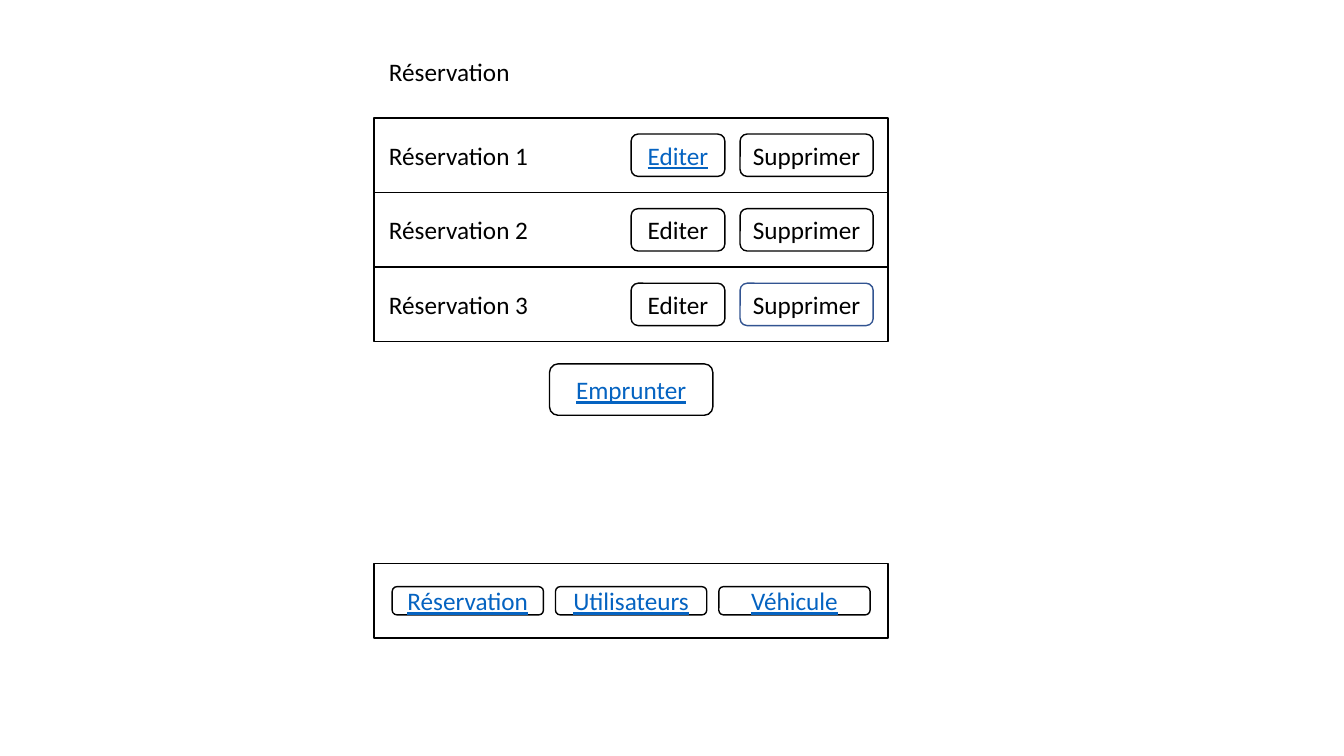
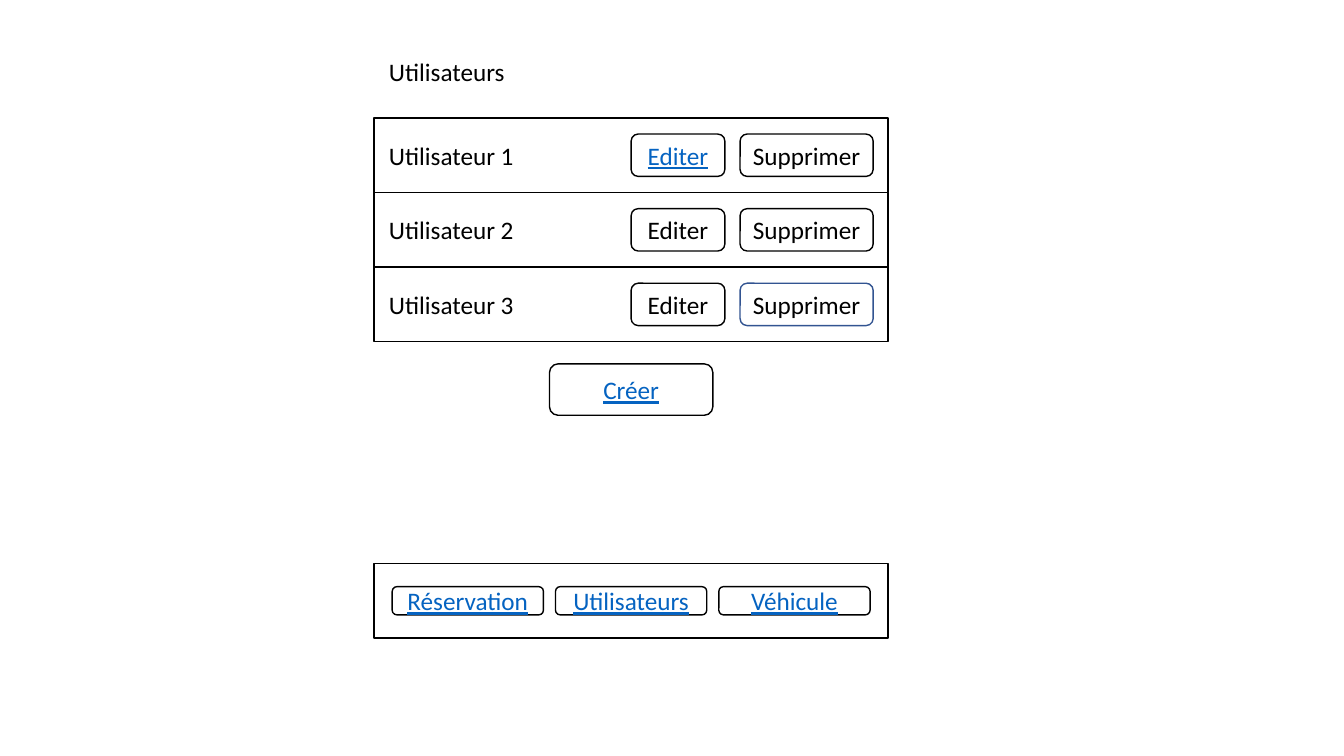
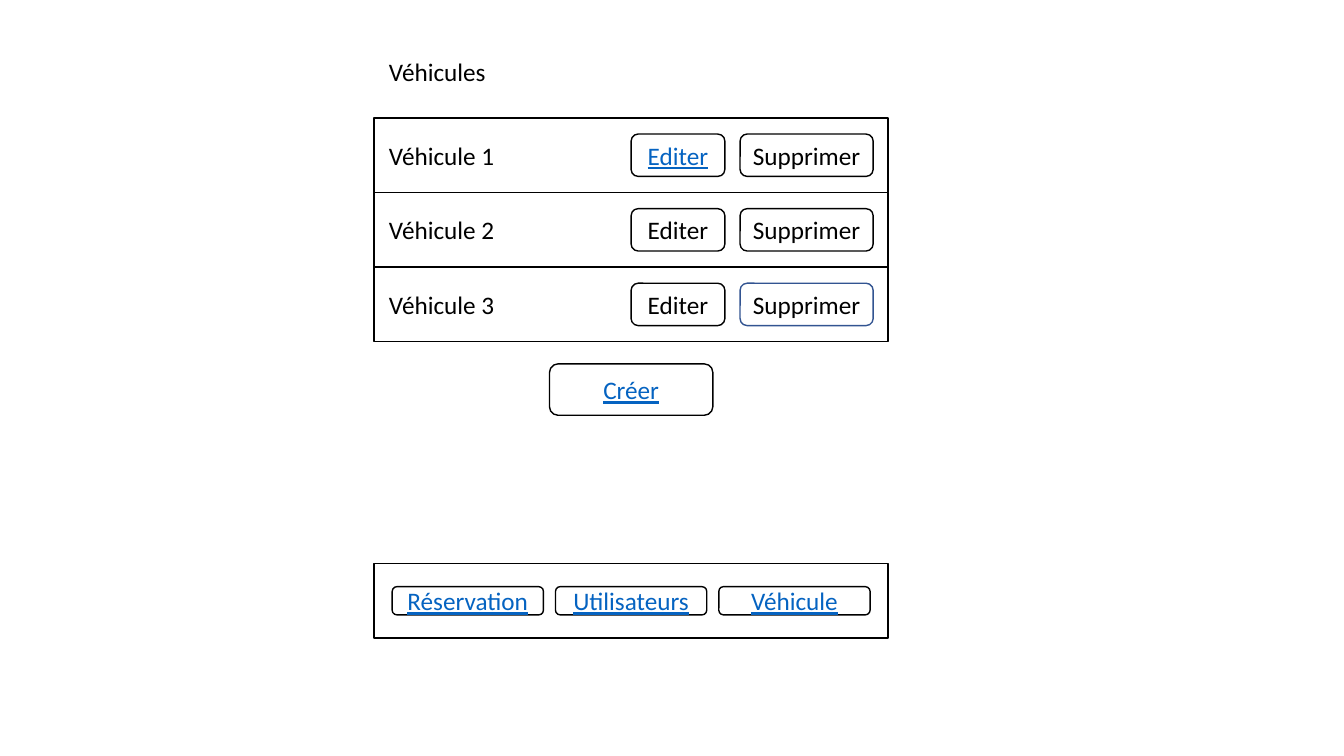
from dataclasses import dataclass

from pptx import Presentation
from pptx.dml.color import RGBColor
from pptx.enum.shapes import MSO_SHAPE
from pptx.enum.text import MSO_ANCHOR, MSO_AUTO_SIZE, PP_ALIGN
from pptx.slide import Slide
from pptx.text.text import TextFrame
from pptx.util import Inches, Pt

RECTANGLE = MSO_SHAPE.RECTANGLE
ROUNDED = MSO_SHAPE.ROUNDED_RECTANGLE
MIDDLE = MSO_ANCHOR.MIDDLE
FIT_SHAPE = MSO_AUTO_SIZE.SHAPE_TO_FIT_TEXT
LEFT = PP_ALIGN.LEFT
CENTER = PP_ALIGN.CENTER

INK = "000000"
LINK = "0563C1"
ACCENT = "325491"
FONT = "Calibri"
FONT_SIZE = Pt(18)
LINE_WIDTH = Pt(1)


@dataclass(frozen=True)
class Box:
    left: float
    top: float
    width: float
    height: float


@dataclass(frozen=True)
class Grid:
    left: float
    top: float
    column_step: float
    row_step: float

    def place(self, column: int, row: int, width: float, height: float) -> Box:
        return Box(self.left + column * self.column_step,
                   self.top + row * self.row_step, width, height)


@dataclass(frozen=True)
class Button:
    caption: str
    box: Box
    linked: bool = False
    outline: str = INK


@dataclass(frozen=True)
class Screen:
    heading: str
    item: str
    action: str


ROW_COUNT = 3
PANEL_LEFT, PANEL_WIDTH, ROW_HEIGHT = 3.71, 5.1, 0.74
TEXT_LEFT, TEXT_HEIGHT = 3.76, 0.4
HEADING_BOX = Box(TEXT_LEFT, 0.51, 2.77, TEXT_HEIGHT)
ACTION_BOX = Box(5.45, 3.61, 1.62, 0.51)
NAV_BAR = Box(PANEL_LEFT, 5.59, PANEL_WIDTH, ROW_HEIGHT)

ROWS = Grid(PANEL_LEFT, 1.17, PANEL_WIDTH, ROW_HEIGHT)
ROW_BUTTONS = Grid(6.26, 1.33, 1.08, ROW_HEIGHT)
ROW_LABELS = Grid(TEXT_LEFT, 1.34, PANEL_WIDTH, ROW_HEIGHT)
NAV_BUTTONS = Grid(3.89, 5.82, 1.62, ROW_HEIGHT)

NAV_CAPTIONS = ("Réservation", "Utilisateurs", "Véhicule")
SCREENS = (
    Screen("Réservation", "Réservation", "Emprunter"),
    Screen("Utilisateurs", "Utilisateur", "Créer"),
    Screen("Véhicules", "Véhicule", "Créer"),
)


def colour(value: str) -> RGBColor:
    return RGBColor.from_string(value)


def emu(box: Box) -> tuple[int, int, int, int]:
    return Inches(box.left), Inches(box.top), Inches(box.width), Inches(box.height)


def write(frame: TextFrame, text: str, align: PP_ALIGN, linked: bool = False) -> None:
    frame.word_wrap = True
    paragraph = frame.paragraphs[0]
    paragraph.text = text
    paragraph.alignment = align
    font = paragraph.font
    font.name, font.size = FONT, FONT_SIZE
    font.color.rgb = colour(LINK if linked else INK)
    if linked:
        font.underline = True


def draw_outline(slide: Slide, kind: MSO_SHAPE, box: Box, outline: str = INK) -> TextFrame:
    panel = slide.shapes.add_shape(kind, *emu(box))
    panel.shadow.inherit = False
    panel.fill.background()
    panel.line.color.rgb = colour(outline)
    panel.line.width = LINE_WIDTH
    return panel.text_frame


def draw_button(slide: Slide, button: Button) -> None:
    frame = draw_outline(slide, ROUNDED, button.box, button.outline)
    frame.vertical_anchor = MIDDLE
    write(frame, button.caption, CENTER, button.linked)


def draw_label(slide: Slide, text: str, box: Box) -> None:
    frame = slide.shapes.add_textbox(*emu(box)).text_frame
    write(frame, text, LEFT)
    frame.auto_size = FIT_SHAPE


def draw_list(slide: Slide, item: str) -> None:
    for row in range(ROW_COUNT):
        draw_outline(slide, RECTANGLE, ROWS.place(0, row, PANEL_WIDTH, ROW_HEIGHT))
    for row in range(ROW_COUNT):
        outline = ACCENT if row == ROW_COUNT - 1 else INK
        draw_button(slide, Button("Editer", ROW_BUTTONS.place(0, row, 0.93, 0.42), row == 0))
        draw_button(slide, Button("Supprimer", ROW_BUTTONS.place(1, row, 1.32, 0.42),
                                  outline=outline))
    for row in range(ROW_COUNT):
        draw_label(slide, f"{item} {row + 1}", ROW_LABELS.place(0, row, 1.76, TEXT_HEIGHT))


def draw_navigation(slide: Slide) -> None:
    draw_outline(slide, RECTANGLE, NAV_BAR)
    for column, caption in enumerate(NAV_CAPTIONS):
        draw_button(slide, Button(caption, NAV_BUTTONS.place(column, 0, 1.5, 0.28), True))


def draw_screen(slide: Slide, screen: Screen) -> None:
    draw_label(slide, screen.heading, HEADING_BOX)
    draw_list(slide, screen.item)
    draw_button(slide, Button(screen.action, ACTION_BOX, True))
    draw_navigation(slide)


deck = Presentation()
deck.slide_width, deck.slide_height = Inches(13.33), Inches(7.5)
blank = deck.slide_layouts[6]
for screen in SCREENS:
    draw_screen(deck.slides.add_slide(blank), screen)
deck.save("out.pptx")
